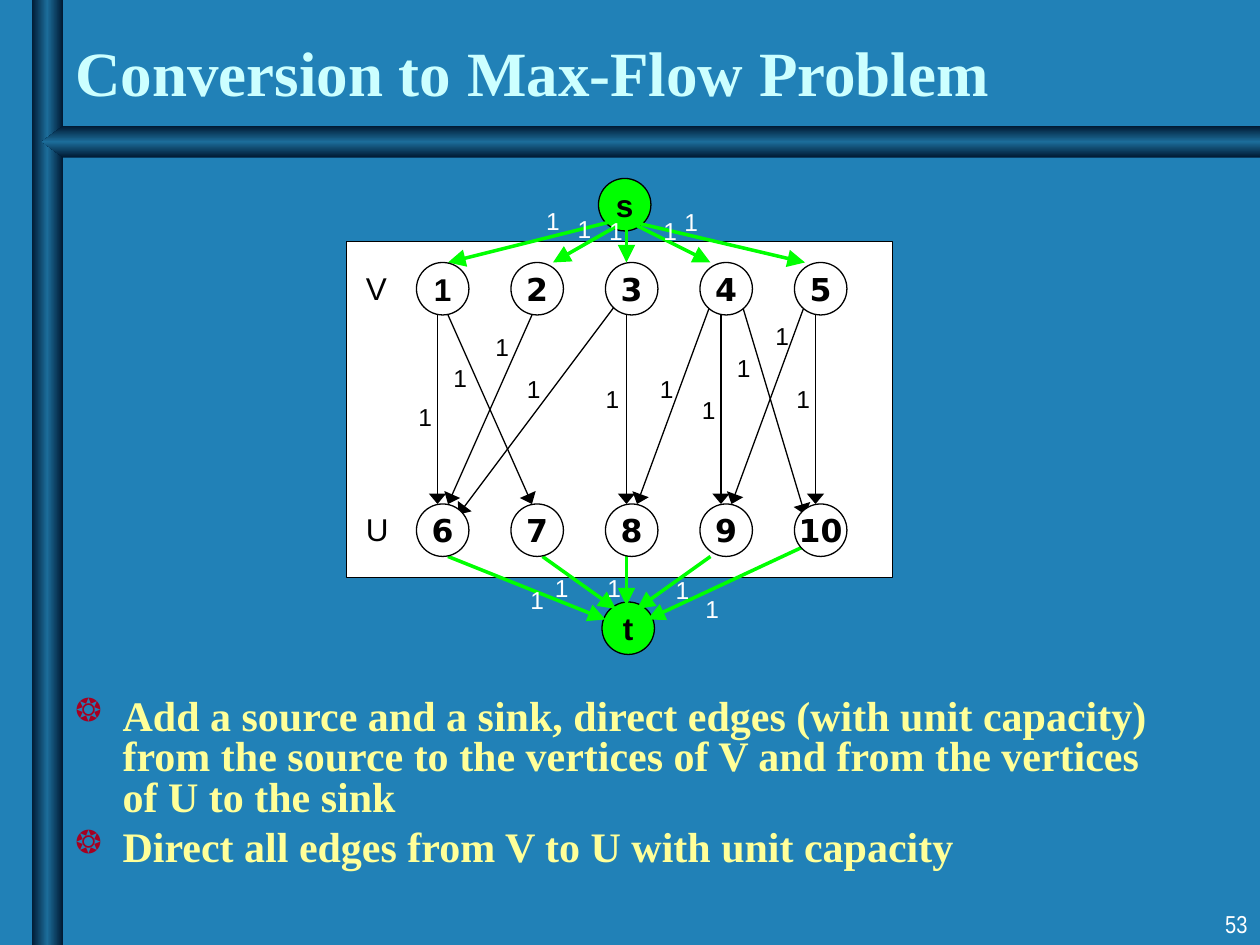
from pptx import Presentation
from pptx.dml.color import RGBColor
from pptx.enum.shapes import MSO_CONNECTOR as CONN, MSO_SHAPE as SHAPE
from pptx.enum.text import MSO_ANCHOR as ANCHOR, MSO_AUTO_SIZE as AUTO, PP_ALIGN as ALIGN
from pptx.oxml import parse_xml
from pptx.oxml.ns import nsdecls, qn
from pptx.util import Pt

COLORS = {
    "back": "2181B7", "title": "CCFFFF", "body": "FFFF99", "bullet": "A50021",
    "black": "000000", "white": "FFFFFF", "green": "00FF00",
    "navy": "001932", "steel": "1C6D9A",
}
FORMATS = {
    "title": {"name": "Times New Roman", "size": Pt(36), "bold": True},
    "body": {"name": "Times New Roman", "size": Pt(24), "bold": True},
    "node": {"name": "DejaVu Sans", "size": Pt(18), "bold": True},
    "end": {"name": "Arial", "size": Pt(18), "bold": True},
    "side": {"name": "Arial", "size": Pt(18), "bold": False},
    "capacity": {"name": "Arial", "size": Pt(14), "bold": False},
    "number": {"name": "Arial Narrow", "size": Pt(14), "bold": False},
}
BULLETS = [
    "Add a source and a sink, direct edges (with unit capacity) from the source "
    "to the vertices of V and from the vertices of U to the sink",
    "Direct all edges from V to U with unit capacity",
]
NODE, STEP, LEFT, V_TOP, U_TOP = 30, 54, 238, 150, 288
BAR = [(0, "navy"), (50, "steel"), (100, "navy")]
MATCH_EDGES = [
    (250, 180, 250, 288), (256, 180, 304, 288), (358, 180, 358, 288),
    (412, 180, 412, 288), (466, 180, 466, 288), (304, 180, 256, 288),
    (352, 174, 262, 294), (406, 174, 364, 288), (460, 174, 418, 288),
    (424, 174, 460, 294),
]
FLOW_EDGES = [
    (352, 126, 256, 150), (358, 126, 316, 150), (358, 126, 358, 150),
    (358, 126, 406, 150), (358, 126, 460, 150),
    (256, 318, 346, 354), (310, 318, 352, 348), (358, 316, 358, 346),
    (406, 318, 364, 348), (460, 312, 370, 354),
]
MATCH_LABELS = [
    (232, 226), (276, 186), (252, 204), (294, 210), (339, 216),
    (370, 210), (394, 222), (414, 198), (436, 180), (448, 216),
]
FLOW_LABELS = [
    (296, 331), (310, 324), (340, 324), (396, 336), (379, 325),
    (305, 114), (323, 119), (341, 120), (372, 120), (384, 115),
]


def rgb(color):
    return RGBColor.from_string(COLORS[color])


def write(p, text, style, color):
    r = p.add_run()
    r.text = text
    for name, value in FORMATS[style].items():
        setattr(r.font, name, value)
    r.font.color.rgb = rgb(color)


def paint_bar(sp, angle):
    """Shade the bar from dark edges to a lighter middle."""
    sp.shadow.inherit = False
    sp.line.fill.background()
    sp.fill.background()
    stop_xml = "".join(
        f'<a:gs pos="{pos * 1000}"><a:srgbClr val="{COLORS[color]}"/></a:gs>'
        for pos, color in BAR)
    grad = parse_xml(
        f'<a:gradFill {nsdecls("a")}><a:gsLst>{stop_xml}</a:gsLst>'
        f'<a:lin ang="{angle * 60000}" scaled="0"/></a:gradFill>')
    spPr = sp._element.spPr
    spPr.replace(spPr.find(qn("a:noFill")), grad)


def add_bars(s):
    post = s.shapes.add_shape(SHAPE.RECTANGLE, Pt(18), 0, Pt(18), Pt(540))
    paint_bar(post, 180)
    outline = s.shapes.build_freeform(Pt(720), Pt(72))
    outline.add_line_segments(
        [(Pt(x), Pt(y)) for x, y in [(36, 72), (24, 81), (36, 90), (720, 90)]])
    paint_bar(outline.convert_to_shape(), 90)


def add_text(s, box, text, style, color, wrap=False, align=ALIGN.LEFT, anchor=ANCHOR.TOP):
    tf = s.shapes.add_textbox(*map(Pt, box)).text_frame
    tf.word_wrap = wrap
    tf.auto_size = AUTO.NONE if wrap else AUTO.SHAPE_TO_FIT_TEXT
    tf.vertical_anchor = anchor
    p = tf.paragraphs[0]
    p.alignment = align
    write(p, text, style, color)


def add_bullets(s):
    tf = s.shapes.add_textbox(Pt(36), Pt(396), Pt(642), Pt(114)).text_frame
    tf.word_wrap = True
    for i, text in enumerate(BULLETS):
        p = tf.add_paragraph() if i else tf.paragraphs[0]
        p.line_spacing = 0.8
        if i:
            p.space_before = Pt(6)
        pPr = p._p.get_or_add_pPr()
        pPr.set("marL", str(Pt(27)))
        pPr.set("indent", str(-Pt(27)))
        for tag in (f'buClr {nsdecls("a")}><a:srgbClr val="{COLORS["bullet"]}"/></a:buClr',
                    f'buSzPct {nsdecls("a")} val="75000"/',
                    f'buChar {nsdecls("a")} char="❂"/'):
            pPr.append(parse_xml(f"<a:{tag}>"))
        write(p, text, "body", "body")


def add_outlined(s, kind, box, fill):
    sp = s.shapes.add_shape(kind, *map(Pt, box))
    sp.shadow.inherit = False
    sp.fill.solid()
    sp.fill.fore_color.rgb = rgb(fill)
    sp.line.color.rgb = rgb("black")
    sp.line.width = Pt(0.75)
    return sp


def add_node(s, x, y, name, fill="white", style="node"):
    tf = add_outlined(s, SHAPE.OVAL, (x, y, NODE, NODE), fill).text_frame
    tf.word_wrap = False
    tf.vertical_anchor = ANCHOR.MIDDLE
    p = tf.paragraphs[0]
    p.alignment = ALIGN.CENTER
    write(p, name, style, "black")


def add_edges(s, edges, color, width, head_length):
    for edge in edges:
        line = s.shapes.add_connector(CONN.STRAIGHT, *map(Pt, edge))
        line.line.color.rgb = rgb(color)
        line.line.width = Pt(width)
        line.line._get_or_add_ln().append(parse_xml(
            f'<a:tailEnd {nsdecls("a")} type="triangle" w="lg" len="{head_length}"/>'))
        line._element.spPr.append(parse_xml(f'<a:effectLst {nsdecls("a")}/>'))


def add_network(s):
    add_outlined(s, SHAPE.RECTANGLE, (198, 138, 312, 192), "white")
    add_edges(s, MATCH_EDGES, "black", 0.75, "med")
    for name, y in (("V", V_TOP), ("U", U_TOP)):
        add_text(s, (202, y, 27, 29), name, "side", "black")
    add_node(s, 342, 102, "s", "green", "end")
    add_node(s, 344, 344, "t", "green", "end")
    add_edges(s, FLOW_EDGES, "green", 2, "lg")
    for i in range(10):
        row, col = divmod(i, 5)
        add_node(s, LEFT + col * STEP, (V_TOP, U_TOP)[row], str(i + 1),
                 style="node" if i else "end")
    for places, color in ((MATCH_LABELS, "black"), (FLOW_LABELS, "white")):
        for x, y in places:
            add_text(s, (x, y, 22, 24), "1", "capacity", color)


def main():
    prs = Presentation()
    prs.slide_width, prs.slide_height = Pt(720), Pt(540)
    s = prs.slides.add_slide(prs.slide_layouts[6])
    s.background.fill.solid()
    s.background.fill.fore_color.rgb = rgb("back")
    add_bars(s)
    add_text(s, (36, -24, 648, 90), "Conversion to Max-Flow Problem", "title", "title",
             wrap=True, anchor=ANCHOR.BOTTOM)
    add_bullets(s)
    add_network(s)
    add_text(s, (570, 516, 150, 24), "53", "number", "white", wrap=True, align=ALIGN.RIGHT)
    prs.save("out.pptx")


if __name__ == "__main__":
    main()
